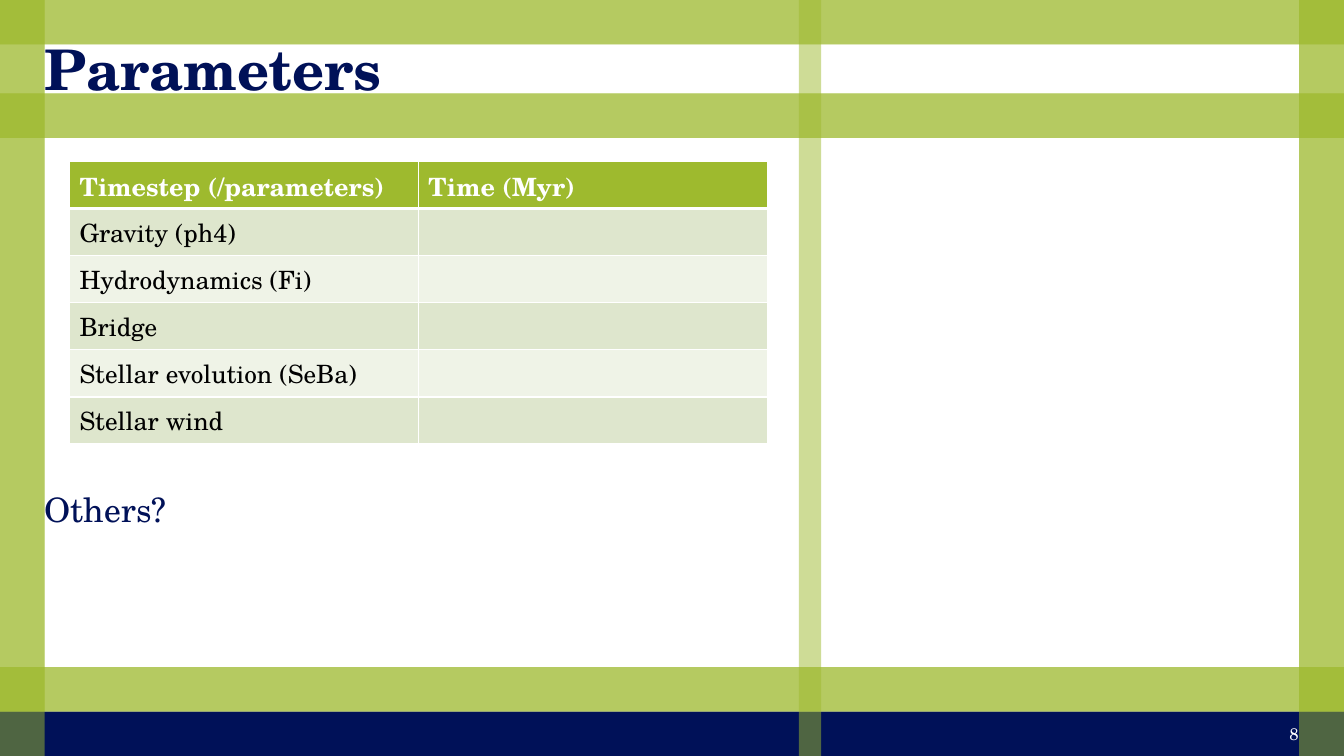
"""Build the Parameters slide: a plaid frame, a timestep table and a question."""
from dataclasses import dataclass

from lxml.etree import SubElement
from pptx import Presentation
from pptx.dml.color import RGBColor as Color
from pptx.enum.shapes import MSO_SHAPE as Preset
from pptx.enum.text import MSO_ANCHOR as Anchor, PP_ALIGN as Align
from pptx.oxml.ns import qn
from pptx.slide import Slide
from pptx.table import _Cell as Cell
from pptx.text.text import _Paragraph as Paragraph
from pptx.util import Inches, Length, Pt

COLUMNS, ROWS = 30, 17
SLIDE_WIDTH, SLIDE_HEIGHT = Inches(13.34), Inches(7.5)


@dataclass(frozen=True)
class Theme:
    """Colours, font and type sizes of the deck."""
    green: str = "9EBA2E"
    navy: str = "001158"
    white: str = "FFFFFF"
    black: str = "000000"
    stripes: tuple[str, str] = ("DEE6CD", "EFF3E7")
    font: str = "TeX Gyre Schola"
    title: float = 40
    body: float = 24
    cell: float = 18
    number: float = 12
    band_opacity: int = 50
    rule: float = 0.96
    header_rule: float = 3


@dataclass(frozen=True)
class Area:
    """A rectangle in grid columns and rows."""
    column: float
    row: float
    columns: float
    rows: float

    def box(self) -> tuple[Length, Length, Length, Length]:
        """Return left, top, width and height as lengths."""
        across, down = SLIDE_WIDTH / COLUMNS, SLIDE_HEIGHT / ROWS
        return (Length(round(self.column * across)), Length(round(self.row * down)),
                Length(round(self.columns * across)), Length(round(self.rows * down)))


@dataclass(frozen=True)
class Label:
    """A line of text with its place and look."""
    text: str
    area: Area
    size: float
    color: str
    bold: bool = False
    align: Align = Align.LEFT
    inset: float = 0


THEME = Theme()
FRAME = (
    Area(0, 0, COLUMNS, 1),
    Area(0, 0, 1, ROWS),
    Area(COLUMNS - 1, 0, 1, ROWS),
    Area(0, 2.1, COLUMNS, 1),
    Area(0, ROWS - 2, COLUMNS, 1),
)
FOOTER = Area(0, ROWS - 1, COLUMNS, 1)
DIVIDER = Area(17.83, 0, 0.5, ROWS)
LABELS = (
    Label("Parameters", Area(1, 1, 28, 1.07), THEME.title, THEME.navy, bold=True),
    Label("Others?", Area(1, 10.92, 16.83, 1.06), THEME.body, THEME.navy),
    Label("8", Area(22.46, 16.05, 6.75, 0.91), THEME.number, THEME.white,
          align=Align.RIGHT, inset=0.1),
)
TABLE_AREA = Area(1.55, 3.63, 15.58, 6.36)
TABLE_ROWS = (
    ("Timestep (/parameters)", "Time (Myr)"),
    ("Gravity (ph4)", ""),
    ("Hydrodynamics (Fi)", ""),
    ("Bridge", ""),
    ("Stellar evolution (SeBa)", ""),
    ("Stellar wind", ""),
)


def add_band(page: Slide, area: Area, color: str, opacity: int = 100) -> None:
    """Draw a borderless bar, see-through when opacity is below 100."""
    band = page.shapes.add_shape(Preset.RECTANGLE, *area.box())
    band.shadow.inherit = False
    band.line.fill.background()
    band.fill.solid()
    band.fill.fore_color.rgb = Color.from_string(color)
    if opacity < 100:
        tint = band.element.spPr.find(qn("a:solidFill")).find(qn("a:srgbClr"))
        SubElement(tint, qn("a:alpha"), val=str(opacity * 1000))


def add_span(para: Paragraph, text: str, size: float, color: str, bold: bool) -> None:
    """Append one styled run to a paragraph."""
    span = para.add_run()
    span.text = text
    span.font.name = THEME.font
    span.font.size = Pt(size)
    span.font.bold = bold
    span.font.color.rgb = Color.from_string(color)


def add_label(page: Slide, label: Label) -> None:
    """Place a label in a vertically centred text box."""
    frame = page.shapes.add_textbox(*label.area.box()).text_frame
    frame.word_wrap = True
    frame.vertical_anchor = Anchor.MIDDLE
    frame.margin_left = frame.margin_right = Inches(label.inset)
    frame.margin_top = frame.margin_bottom = 0
    para = frame.paragraphs[0]
    para.alignment = label.align
    add_span(para, label.text, label.size, label.color, label.bold)


def add_rule(cell: Cell, side: str, width: float) -> None:
    """Draw one white border of a cell."""
    rule = SubElement(cell._tc.get_or_add_tcPr(), qn(f"a:ln{side}"), w=str(Pt(width)))
    SubElement(SubElement(rule, qn("a:solidFill")), qn("a:srgbClr"), val=THEME.white)


def fill_cell(cell: Cell, text: str, row: int) -> None:
    """Style a cell by its row and write its text."""
    header = row == 0
    heavy_side = {0: "B", 1: "T"}.get(row)
    for side in "LRTB":
        add_rule(cell, side, THEME.header_rule if side == heavy_side else THEME.rule)
    cell.fill.solid()
    cell.fill.fore_color.rgb = Color.from_string(
        THEME.green if header else THEME.stripes[(row - 1) % 2])
    para = cell.text_frame.paragraphs[0]
    if text:
        add_span(para, text, THEME.cell, THEME.white if header else THEME.black, header)
    else:
        para.font.size = Pt(THEME.cell)


def add_parameters(page: Slide) -> None:
    """Add the table of timestep parameters."""
    table = page.shapes.add_table(
        len(TABLE_ROWS), len(TABLE_ROWS[0]), *TABLE_AREA.box()).table
    for row, texts in enumerate(TABLE_ROWS):
        for column, text in enumerate(texts):
            fill_cell(table.cell(row, column), text, row)


def main() -> None:
    """Assemble and save the deck."""
    deck = Presentation()
    deck.slide_width, deck.slide_height = SLIDE_WIDTH, SLIDE_HEIGHT
    page = deck.slides.add_slide(deck.slide_layouts[6])
    for area in FRAME:
        add_band(page, area, THEME.green, THEME.band_opacity)
    add_band(page, FOOTER, THEME.navy)
    for area in (*FRAME, DIVIDER):
        add_band(page, area, THEME.green, THEME.band_opacity)
    for label in LABELS:
        add_label(page, label)
    add_parameters(page)
    deck.save("out.pptx")


if __name__ == "__main__":
    main()
